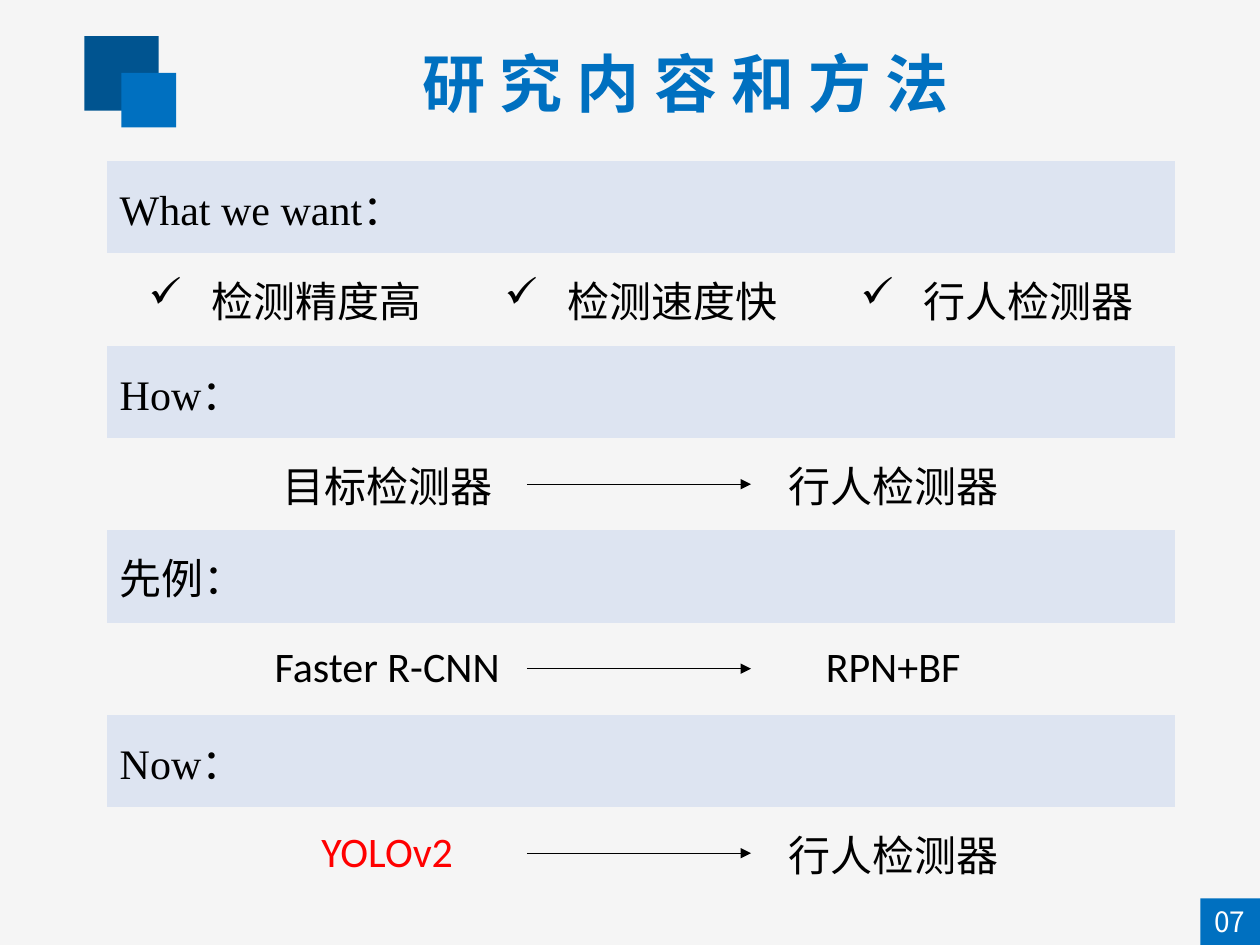
"""Build the slide on research content and methods."""
import pptx
import pptx.dml.color
import pptx.enum.shapes
import pptx.enum.text
import pptx.oxml
import pptx.oxml.ns
import pptx.util
from lxml import etree

Cm = pptx.util.Cm
RGBColor = pptx.dml.color.RGBColor
PP_ALIGN = pptx.enum.text.PP_ALIGN
MIDDLE = pptx.enum.text.MSO_ANCHOR.MIDDLE
qn = pptx.oxml.ns.qn

PAPER = RGBColor(0xF5, 0xF5, 0xF5)
NAVY = RGBColor(0x00, 0x54, 0x90)
BLUE = RGBColor(0x00, 0x70, 0xC0)
BAND = RGBColor(0xDD, 0xE4, 0xF1)
BLACK = RGBColor(0, 0, 0)
RED = RGBColor(0xFF, 0, 0)
WHITE = RGBColor(0xFF, 0xFF, 0xFF)
SANS = "Noto Sans CJK SC"
NO_STYLE_NO_GRID = "{2D5ABB26-0587-4C30-8999-92F81FD0307C}"


def write(frame, text, size, font, color, align=PP_ALIGN.CENTER, bold=False):
    paragraph = frame.paragraphs[0]
    paragraph.alignment = align
    run = paragraph.add_run()
    run.text = text
    run.font.size = pptx.util.Pt(size)
    run.font.name = font
    run.font.bold = bold
    run.font.color.rgb = color
    east_asian = etree.SubElement(run.font._element, qn("a:ea"))
    east_asian.set("typeface", SANS)
    return paragraph


def add_block(left, top, width, height, color):
    block = slide.shapes.add_shape(
        pptx.enum.shapes.MSO_SHAPE.RECTANGLE, Cm(left), Cm(top), Cm(width), Cm(height)
    )
    block.shadow.inherit = False
    block.fill.solid()
    block.fill.fore_color.rgb = color
    block.line.fill.background()


deck = pptx.Presentation()
deck.slide_width, deck.slide_height = Cm(25.4), Cm(19.05)
slide = deck.slides.add_slide(deck.slide_layouts[5])
slide.background.fill.solid()
slide.background.fill.fore_color.rgb = PAPER

add_block(1.7, 0.73, 1.5, 1.5, NAVY)
add_block(2.45, 1.47, 1.1, 1.1, BLUE)

heading = slide.shapes.title
heading.left, heading.top, heading.width, heading.height = Cm(3.94), Cm(0.76), Cm(19.76), Cm(1.8)
heading.text_frame.vertical_anchor = MIDDLE
write(heading.text_frame, "研 究 内 容 和 方 法", 36, SANS, BLUE, bold=True)

add_block(24.2, 18.11, 1.2, 0.94, BLUE)
page_number = slide.shapes.add_textbox(Cm(23.9), Cm(18.11), Cm(1.78), Cm(0.94))
page_number.text_frame.word_wrap = True
write(page_number.text_frame, "07", 16, SANS, WHITE)

COLUMNS = [2.95, 4.22, 1.17, 4.85, 1.17, 4.14, 3.02]
TABLE_TOP, ROW_HEIGHT = 3.25, 1.86
SECTIONS = [
    ("What we want：", "Times New Roman", [
        (0, 1, "检测精度高", BLACK), (2, 4, "检测速度快", BLACK), (5, 6, "行人检测器", BLACK)]),
    ("How：", "Times New Roman", [(1, 2, "目标检测器", BLACK), (4, 5, "行人检测器", BLACK)]),
    ("先例：", "Times New Roman", [(1, 2, "Faster R-CNN", BLACK), (4, 5, "RPN+BF", BLACK)]),
    ("Now：", "Times New Roman", [(1, 2, "YOLOv2", RED), (4, 5, "行人检测器", BLACK)]),
]

plan = slide.shapes.add_table(
    2 * len(SECTIONS), len(COLUMNS), Cm(2.16), Cm(TABLE_TOP),
    Cm(sum(COLUMNS)), Cm(2 * len(SECTIONS) * ROW_HEIGHT),
).table
plan.first_row = plan.horz_banding = False
plan._tbl.tblPr.find(qn("a:tableStyleId")).text = NO_STYLE_NO_GRID
for column, width in zip(plan.columns, COLUMNS):
    column.width = Cm(width)
for row in plan.rows:
    row.height = Cm(ROW_HEIGHT)
for cell in plan.iter_cells():
    cell.fill.background()
    cell.vertical_anchor = MIDDLE

for index, (question, question_font, answers) in enumerate(SECTIONS):
    band = plan.cell(2 * index, 0)
    band.merge(plan.cell(2 * index, len(COLUMNS) - 1))
    band.fill.solid()
    band.fill.fore_color.rgb = BAND
    write(band.text_frame, question, 24, question_font, BLACK, PP_ALIGN.LEFT)

    answer_row = 2 * index + 1
    for first, last, answer, color in answers:
        cell = plan.cell(answer_row, first)
        cell.merge(plan.cell(answer_row, last))
        paragraph = write(cell.text_frame, answer, 24, "Calibri", color)
        if index == 0:
            properties = paragraph._p.get_or_add_pPr()
            properties.set("marL", str(Cm(1.27)))
            properties.set("indent", str(Cm(-1.27)))
            etree.SubElement(properties, qn("a:buChar")).set("char", "✓")

    if index > 0:
        middle = Cm(TABLE_TOP + (answer_row + 0.5) * ROW_HEIGHT)
        arrow = slide.shapes.add_connector(
            pptx.enum.shapes.MSO_CONNECTOR.STRAIGHT, Cm(10.62), middle, Cm(15.14), middle
        )
        arrow.line.color.rgb = BLACK
        arrow.line.width = pptx.util.Pt(0.75)
        etree.SubElement(arrow.line._get_or_add_ln(), qn("a:tailEnd")).set("type", "triangle")
        etree.SubElement(arrow._element.spPr, qn("a:effectLst"))

deck.save("out.pptx")
